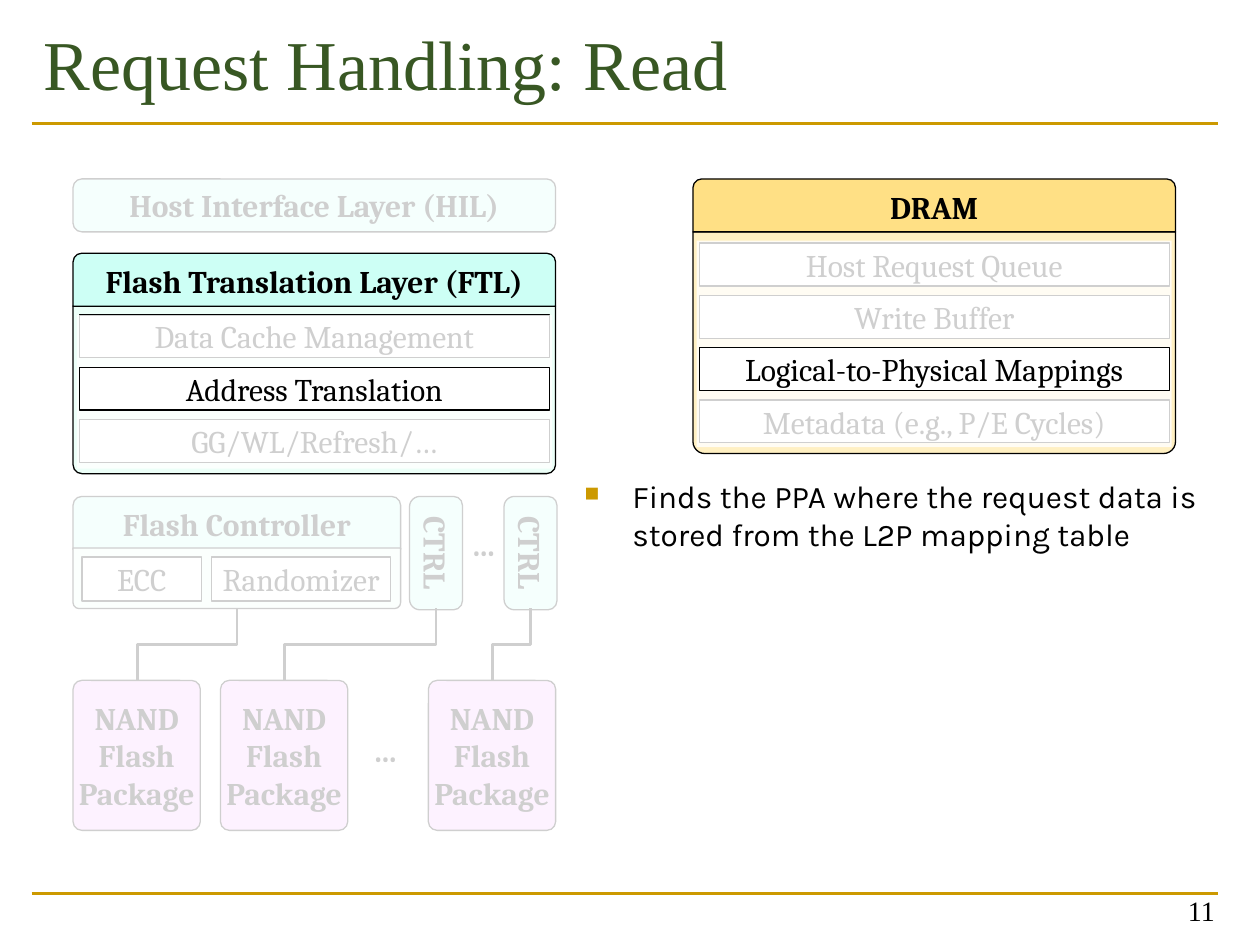
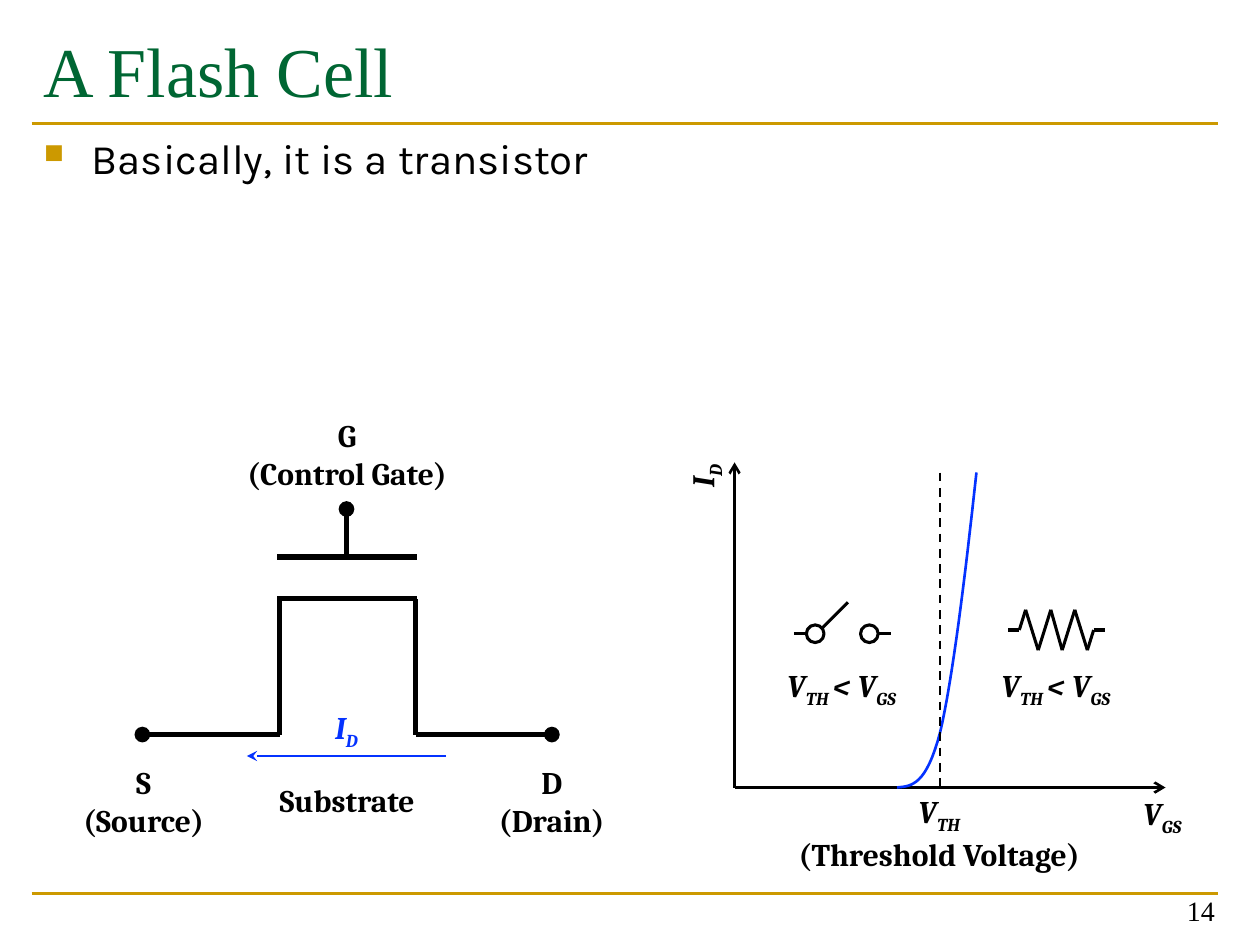
import itertools
import lxml.etree
import pptx
import pptx.dml.color
import pptx.enum.dml
import pptx.enum.shapes
import pptx.enum.text
import pptx.oxml.ns
import pptx.util

BLACK = pptx.dml.color.RGBColor(0x00, 0x00, 0x00)
WHITE = pptx.dml.color.RGBColor(0xFF, 0xFF, 0xFF)
GOLD = pptx.dml.color.RGBColor(0xCC, 0x99, 0x00)
OLIVE = pptx.dml.color.RGBColor(0x38, 0x57, 0x23)
GREEN = pptx.dml.color.RGBColor(0x00, 0x66, 0x33)
BLUE = pptx.dml.color.RGBColor(0x04, 0x32, 0xFF)
MINT = pptx.dml.color.RGBColor(0xCD, 0xFF, 0xF5)
PALE = pptx.dml.color.RGBColor(0xEC, 0xFF, 0xF8)
AMBER = pptx.dml.color.RGBColor(0xFF, 0xE0, 0x85)
CREAM = pptx.dml.color.RGBColor(0xFF, 0xF0, 0xC2)
PINK = pptx.dml.color.RGBColor(0xF8, 0xBF, 0xFF)

SERIF = "Times New Roman"
RECT = pptx.enum.shapes.MSO_SHAPE.RECTANGLE
ROUND = pptx.enum.shapes.MSO_SHAPE.ROUNDED_RECTANGLE
TAB = pptx.enum.shapes.MSO_SHAPE.ROUND_2_SAME_RECTANGLE
OVAL = pptx.enum.shapes.MSO_SHAPE.OVAL
STRAIGHT = pptx.enum.shapes.MSO_CONNECTOR.STRAIGHT
ELBOW = pptx.enum.shapes.MSO_CONNECTOR.ELBOW
LEFT = pptx.enum.text.PP_ALIGN.LEFT
MID = pptx.enum.text.PP_ALIGN.CENTER
RIGHT = pptx.enum.text.PP_ALIGN.RIGHT
TOP = pptx.enum.text.MSO_ANCHOR.TOP
CENTER = pptx.enum.text.MSO_ANCHOR.MIDDLE
BOTTOM = pptx.enum.text.MSO_ANCHOR.BOTTOM
qn = pptx.oxml.ns.qn


def put(slide, kind, box, text="", fill=None, edge=BLACK, width=0.75, adj=(),
        turn=0, alpha=None, size=18, font="Cambria", color=BLACK, bold=True,
        align=MID, anchor=CENTER, wrap=True):
    """Add a shape, or a text box if kind is None; in text, | toggles subscript."""
    box = [pptx.util.Inches(n) for n in box]
    if kind is None:
        shape = slide.shapes.add_textbox(*box)
    else:
        shape = slide.shapes.add_shape(kind, *box)
        shape.shadow.inherit = False
        for i, part in enumerate(adj):
            shape.adjustments[i] = part
        shape.fill.solid()
        shape.fill.fore_color.rgb = fill
        if edge is None:
            shape.line.fill.background()
        else:
            shape.line.color.rgb = edge
            shape.line.width = pptx.util.Pt(width)
        if alpha:
            tone = shape._element.spPr.find(qn("a:solidFill"))[0]
            lxml.etree.SubElement(tone, qn("a:alpha"), val=str(alpha * 1000))
    shape.rotation = turn
    if not text:
        return shape
    frame = shape.text_frame
    frame.word_wrap = wrap
    frame.vertical_anchor = anchor
    if kind is not None:
        frame.margin_left = frame.margin_right = 0
        frame.margin_top = frame.margin_bottom = 0
    frame.text = text
    for para in frame.paragraphs:
        para.alignment = align
        parts = para.text.split("|")
        para.text = parts[0]
        for part in parts[1:]:
            para.add_run().text = part
        for i, run in enumerate(para.runs):
            run.font.name = font
            run.font.size = pptx.util.Pt(size)
            run.font.bold = bold
            run.font.italic = len(parts) > 1
            run.font.color.rgb = color
            if i % 2:
                run._r.get_or_add_rPr().set("baseline", "-25000")
    return shape


def link(slide, start, end, color=BLACK, width=1.5, tail=None, kind=STRAIGHT):
    ends = [pptx.util.Inches(n) for n in (*start, *end)]
    line = slide.shapes.add_connector(kind, *ends)
    line.line.color.rgb = color
    line.line.width = pptx.util.Pt(width)
    props = line._element.spPr
    if tail:
        lxml.etree.SubElement(props.find(qn("a:ln")), qn("a:tailEnd"), type=tail)
    lxml.etree.SubElement(props, qn("a:effectLst"))
    return line


deck = pptx.Presentation()
deck.slide_width = pptx.util.Inches(10)
deck.slide_height = pptx.util.Inches(7.5)
blank = deck.slide_layouts[6]
read = deck.slides.add_slide(blank)
cell = deck.slides.add_slide(blank)

# Rules, title and page number
for slide, title, box, color, anchor, page in (
        (read, "Request Handling: Read", (0.25, 0, 9.42, 0.99), OLIVE, CENTER, "11"),
        (cell, "A Flash Cell", (0.25, 0.17, 9.42, 1.17), GREEN, TOP, "14")):
    for y in (7.09, 0.98):
        link(slide, (0.25, y), (9.67, y), GOLD)
    put(slide, None, box, title, size=40, font=SERIF, color=color, bold=False,
        align=LEFT, anchor=anchor)
    put(slide, None, (7.41, 6.91, 2.33, 0.5), page, size=16, font=SERIF,
        bold=False, align=RIGHT, anchor=BOTTOM)

# Request path, dimmed
put(read, ROUND, (0.58, 1.42, 3.83, 0.42), "Host Interface Layer (HIL)", MINT)
put(read, TAB, (0.58, 3.94, 2.6, 0.42), "Flash Controller", MINT)
put(read, TAB, (0.58, 4.35, 2.6, 0.48), fill=PALE, adj=(0, 0.1))
for x, wide, name in ((0.65, 0.95, "ECC"), (1.68, 1.42, "Randomizer")):
    put(read, RECT, (x, 4.42, wide, 0.35), name, WHITE, bold=False)
for x in (3.01, 3.76):
    put(read, TAB, (x, 4.18, 0.9, 0.42), "CTRL", MINT, adj=(0.167, 0.197), turn=90)
for x, y in ((3.64, 4.12), (2.86, 5.75)):
    put(read, None, (x, y, 0.4, 0.4), "…", wrap=False)
for x, port in ((0.58, 1.88), (1.75, 3.46), (3.4, 4.21)):
    put(read, ROUND, (x, 5.4, 1.01, 1.19), "NAND\nFlash\nPackage", PINK, adj=(0.069,))
    # The elbow is laid out sideways, then turned to leave the package upwards
    low, high = 5.4, 4.83
    pin = x + 0.51
    mid_x, mid_y = (pin + port) / 2, (low + high) / 2
    dx, dy = (low - high) / 2, (port - pin) / 2
    wire = link(read, (mid_x + dx, mid_y + dy), (mid_x - dx, mid_y - dy), kind=ELBOW)
    wire._element.spPr.find(qn("a:xfrm")).set("rot", "5400000")
put(read, RECT, (0.25, 1.08, 9.42, 5.92), fill=WHITE, edge=WHITE, alpha=81)

# Panels with one active row each
for x, y, high, head, back, name, first, veil, rows, live in (
        (5.5, 1.42, 1.76, AMBER, CREAM, "DRAM", 1.93, (1.91, 1.64),
         ("Host Request Queue", "Write Buffer", "Logical-to-Physical Mappings",
          "Metadata (e.g., P/E Cycles)"), 2),
        (0.58, 2.01, 1.33, MINT, PALE, "Flash Translation Layer (FTL)", 2.5, (2.5, 1.22),
         ("Data Cache Management", "Address Translation", "GG/WL/Refresh/…"), 1)):
    put(read, TAB, (x, y + 0.42, 3.83, high), fill=back, adj=(0, 0.054))
    put(read, TAB, (x, y, 3.83, 0.42), name, head)
    spots = [(x + 0.05, first + 0.415 * i, 3.73, 0.34) for i in range(len(rows))]
    for i, row in enumerate(rows):
        if i != live:
            put(read, RECT, spots[i], row, WHITE, bold=False)
    put(read, RECT, (x + 0.03, veil[0], 3.77, veil[1]), fill=WHITE, edge=None, alpha=81)
    put(read, RECT, spots[live], rows[live], WHITE, bold=False)

# Transistor
for start, end, tail in (
        ((2.22, 5.83), (1.13, 5.83), "oval"), ((2.22, 5.83), (2.22, 4.75), None),
        ((3.3, 5.83), (4.38, 5.83), "oval"), ((3.3, 5.83), (3.3, 4.75), None),
        ((2.2, 4.75), (3.31, 4.75), None), ((2.2, 4.42), (3.31, 4.42), None),
        ((2.75, 4.42), (2.75, 4.04), "oval")):
    link(cell, start, end, width=3, tail=tail)
link(cell, (3.54, 6), (1.96, 6), BLUE, 1.25, "stealth")

# Current against gate voltage
for end in ((5.83, 3.67), (9.25, 6.25)):
    link(cell, (5.83, 6.25), end, tail="arrow")
knots = ((7.75, 3.75), (7.66, 4.58), (7.56, 5.4), (7.46, 5.82),
         (7.35, 6.23), (7.24, 6.24), (7.12, 6.25))
steps = 16
curve = []
for part in (knots[:4], knots[3:]):
    for i in range(steps + 1):
        t = i / steps
        mix = ((1 - t) ** 3, 3 * t * (1 - t) ** 2, 3 * t * t * (1 - t), t ** 3)
        curve.append([pptx.util.Inches(sum(m * p[k] for m, p in zip(mix, part)))
                      for k in (0, 1)])
pen = cell.shapes.build_freeform(*curve[0])
pen.add_line_segments(curve[1:], close=False)
graph = pen.convert_to_shape()
graph.shadow.inherit = False
graph.fill.background()
graph.line.color.rgb = BLUE
graph.line.width = pptx.util.Pt(1.5)
limit = link(cell, (7.46, 3.75), (7.46, 6.25), width=1.25)
limit.line.dash_style = pptx.enum.dml.MSO_LINE.DASH

# Resistor and open switch
zigzag = ((8, 5), (8.09, 5), (8.14, 4.84), (8.24, 5.16), (8.34, 4.84), (8.43, 5.16),
          (8.53, 4.84), (8.63, 5.16), (8.68, 5), (8.77, 5))
for start, end in itertools.pairwise(zigzag):
    link(cell, start, end, width=1.75)
for x in (6.4, 6.83):
    put(cell, OVAL, (x, 4.96, 0.14, 0.14), fill=WHITE, width=1.75)
for start, end in (((6.53, 4.98), (6.73, 4.78)), ((6.3, 5.03), (6.4, 5.03)),
                   ((6.97, 5.03), (7.07, 5.03))):
    link(cell, start, end, width=1.75)

for box, text, color, turn in (
        ((0.54, 6, 1.2, 0.71), "S\n(Source)", BLACK, 0),
        ((3.85, 6, 1.06, 0.71), "D\n(Drain)", BLACK, 0),
        ((2.1, 6.15, 1.31, 0.4), "Substrate", BLACK, 0),
        ((1.83, 3.25, 1.85, 0.71), "G\n(Control Gate)", BLACK, 0),
        ((2.55, 5.59, 0.4, 0.4), "I|D", BLUE, 0),
        ((5.39, 3.58, 0.4, 0.4), "I|D", BLACK, 270),
        ((8.95, 6.27, 0.55, 0.4), "V|GS", BLACK, 0),
        ((6.2, 6.25, 2.51, 0.71), "V|TH\n(Threshold Voltage)", BLACK, 0),
        ((6.11, 5.26, 1.14, 0.4), "V|TH |< V|GS", BLACK, 0),
        ((7.81, 5.26, 1.14, 0.4), "V|TH |< V|GS", BLACK, 0)):
    put(cell, None, box, text, color=color, turn=turn, wrap=False)

# Bulleted text
for slide, box, size, text in (
        (read, (4.54, 3.74, 5.28, 3.35), 18,
         "Finds the PPA where the request data is stored from the L2P mapping table"),
        (cell, (0.25, 1, 9.42, 6.08), 24, "Basically, it is a transistor")):
    body = put(slide, None, box, text, size=size, font="Karla", bold=False,
               align=LEFT, anchor=TOP)
    props = body.text_frame.paragraphs[0]._p.get_or_add_pPr()
    props.set("marL", str(pptx.util.Inches(0.38)))
    props.set("indent", str(pptx.util.Inches(-0.38)))
    tint = lxml.etree.SubElement(props, qn("a:buClr"))
    lxml.etree.SubElement(tint, qn("a:srgbClr"), val=str(GOLD))
    lxml.etree.SubElement(props, qn("a:buSzPct"), val="65000")
    lxml.etree.SubElement(props, qn("a:buChar"), char="■")

deck.save("out.pptx")
